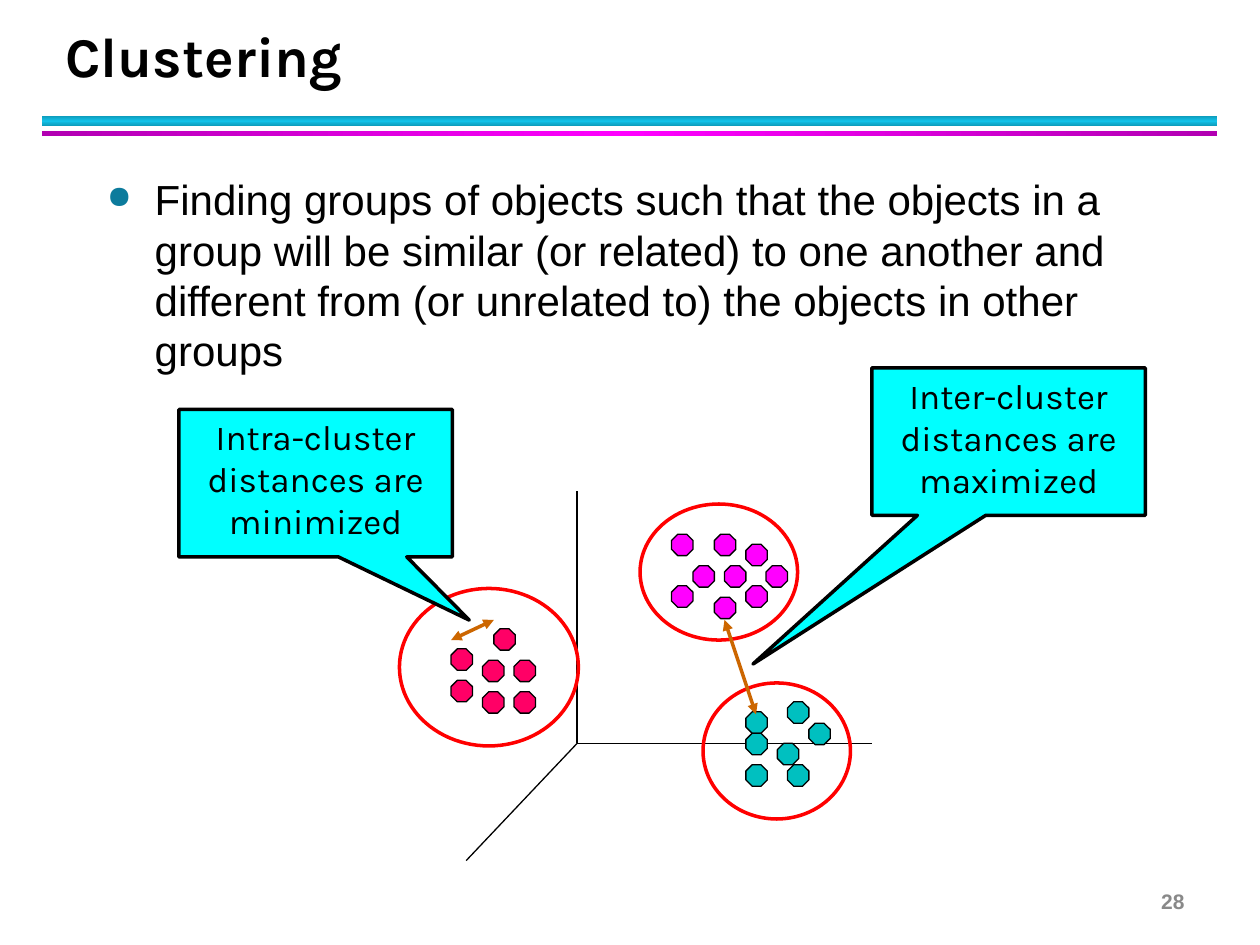
from copy import deepcopy
from typing import NamedTuple

from pptx import Presentation
from pptx.dml.color import RGBColor
from pptx.enum.shapes import MSO_CONNECTOR, MSO_SHAPE
from pptx.enum.text import MSO_ANCHOR, PP_ALIGN
from pptx.oxml.ns import qn
from pptx.oxml.xmlchemy import OxmlElement
from pptx.util import Inches, Pt

BLACK = RGBColor(0x00, 0x00, 0x00)
GREY = RGBColor(0x89, 0x89, 0x89)
RED = RGBColor(0xFF, 0x00, 0x00)
ORANGE = RGBColor(0xCC, 0x66, 0x00)
CYAN = RGBColor(0x00, 0xFF, 0xFF)
MAGENTA = RGBColor(0xFF, 0x00, 0xFF)
PINK = RGBColor(0xFF, 0x00, 0x66)
TEAL = RGBColor(0x00, 0xC0, 0xC0)
DARK_MAGENTA = RGBColor(0xB2, 0x00, 0xB2)
BAR_BLUE = RGBColor(0x12, 0xC2, 0xE9)
DARK_BAR_BLUE = RGBColor(0x0E, 0x9B, 0xBA)
BULLET_BLUE = "0C7B9C"
POINT_SIZE = 0.17


class Box(NamedTuple):
    left: float
    top: float
    width: float
    height: float


class Cluster(NamedTuple):
    color: RGBColor
    outline: Box
    points: list[tuple[float, float]]


class Callout(NamedTuple):
    text: str
    box: Box
    tip: tuple[float, float]


class Rule(NamedTuple):
    box: Box
    edge: RGBColor
    middle: RGBColor
    angle: int


RULES = [
    Rule(Box(0.33, 0.92, 9.33, 0.08), DARK_BAR_BLUE, BAR_BLUE, 90),
    Rule(Box(0.33, 1.04, 9.33, 0.04), DARK_MAGENTA, MAGENTA, 0),
]
CLUSTERS = [
    Cluster(PINK, Box(3.17, 4.67, 1.42, 1.25),
            [(3.58, 5.15), (3.83, 5.24), (3.83, 5.49), (4.08, 5.24),
             (3.92, 4.99), (4.08, 5.49), (3.58, 5.4)]),
    Cluster(MAGENTA, Box(5.08, 4, 1.25, 1.08),
            [(5.5, 4.49), (5.75, 4.49), (5.67, 4.24), (5.67, 4.74), (6.08, 4.49),
             (5.92, 4.32), (5.33, 4.24), (5.92, 4.65), (5.33, 4.65)]),
    Cluster(TEAL, Box(5.58, 5.42, 1.17, 1.08),
            [(5.92, 5.65), (6.42, 5.74), (6.17, 5.9), (5.92, 6.07),
             (6.25, 6.07), (5.92, 5.82), (6.25, 5.57)]),
]
ORIGIN = (4.58, 5.9)
AXIS_ENDS = [(4.58, 3.9), (6.92, 5.9), (3.7, 6.83)]
DISTANCES = [((6, 5.67), (5.75, 4.92)), ((3.58, 5.08), (3.92, 4.92))]
CALLOUTS = [
    Callout("Inter-cluster distances are maximized",
            Box(6.92, 2.92, 2.17, 1.17), (-0.935, 1.509)),
    Callout("Intra-cluster distances are minimized",
            Box(1.42, 3.25, 2.17, 1.17), (0.562, 0.929)),
]


def add_figure(slide, kind, box: Box, fill=None, line=None, line_width=0.75):
    figure = slide.shapes.add_shape(kind, *map(Inches, box))
    figure.shadow.inherit = False
    if fill is None:
        figure.fill.background()
    else:
        figure.fill.solid()
        figure.fill.fore_color.rgb = fill
    if line is None:
        figure.line.fill.background()
    else:
        figure.line.color.rgb = line
        figure.line.width = Pt(line_width)
    return figure


def add_rule(slide, rule: Rule) -> None:
    """Draw a bar whose gradient runs from edge to middle and back."""
    bar = add_figure(slide, MSO_SHAPE.RECTANGLE, rule.box)
    bar.fill.gradient()
    bar.fill.gradient_angle = rule.angle
    first = bar.element.spPr.find(".//" + qn("a:gs"))
    center = deepcopy(first)
    first.addnext(center)
    colors = (rule.edge, rule.middle, rule.edge)
    for stop, position, color in zip(bar.fill.gradient_stops, (0, 0.5, 1), colors):
        stop.position = position
        stop.color.rgb = color


def add_line(slide, start, end, color: RGBColor, width: float, arrows=False) -> None:
    line = slide.shapes.add_connector(
        MSO_CONNECTOR.STRAIGHT, *map(Inches, (*start, *end)))
    line.line.color.rgb = color
    line.line.width = Pt(width)
    if arrows:
        for tag in ("a:headEnd", "a:tailEnd"):
            arrowhead = OxmlElement(tag)
            arrowhead.set("type", "triangle")
            line.line._get_or_add_ln().append(arrowhead)
    line._element.spPr.append(OxmlElement("a:effectLst"))


def write(frame, text: str, font: str, size: float, color=BLACK, bold=False,
          align=PP_ALIGN.LEFT, anchor=MSO_ANCHOR.TOP):
    frame.word_wrap = True
    frame.vertical_anchor = anchor
    paragraph = frame.paragraphs[0]
    paragraph.alignment = align
    run = paragraph.add_run()
    run.text = text
    run.font.name = font
    run.font.size = Pt(size)
    run.font.bold = bold
    run.font.color.rgb = color
    return paragraph


def add_text(slide, box: Box, text: str, font: str, size: float, **style):
    frame = slide.shapes.add_textbox(*map(Inches, box)).text_frame
    return write(frame, text, font, size, **style)


def add_bullet(paragraph) -> None:
    properties = paragraph._p.get_or_add_pPr()
    properties.set("marL", str(Inches(0.38)))
    properties.set("indent", str(-Inches(0.38)))
    color = OxmlElement("a:buClr")
    rgb = OxmlElement("a:srgbClr")
    rgb.set("val", BULLET_BLUE)
    color.append(rgb)
    size = OxmlElement("a:buSzPct")
    size.set("val", "75000")
    mark = OxmlElement("a:buChar")
    mark.set("char", "●")
    properties.extend([color, size, mark])


def add_callout(slide, callout: Callout) -> None:
    figure = add_figure(slide, MSO_SHAPE.RECTANGULAR_CALLOUT, callout.box,
                        CYAN, BLACK, 2)
    figure.adjustments[0], figure.adjustments[1] = callout.tip
    write(figure.text_frame, callout.text, "Karla", 20, align=PP_ALIGN.CENTER)


def main() -> None:
    deck = Presentation()
    deck.slide_width, deck.slide_height = Inches(10), Inches(7.5)
    slide = deck.slides.add_slide(deck.slide_layouts[6])

    for rule in RULES:
        add_rule(slide, rule)
    definition = add_text(
        slide, Box(0.75, 1.33, 8.5, 2.42),
        "Finding groups of objects such that the objects in a group will be "
        "similar (or related) to one another and different from (or unrelated "
        "to) the objects in other groups", "Arial", 24)
    add_bullet(definition)

    for end in AXIS_ENDS:
        add_line(slide, ORIGIN, end, BLACK, 0.75)
    for cluster in CLUSTERS:
        for left, top in cluster.points:
            add_figure(slide, MSO_SHAPE.OCTAGON,
                       Box(left, top, POINT_SIZE, POINT_SIZE), cluster.color, BLACK)
    for cluster in CLUSTERS:
        add_figure(slide, MSO_SHAPE.OVAL, cluster.outline, line=RED, line_width=2)
    for start, end in DISTANCES:
        add_line(slide, start, end, ORANGE, 2, arrows=True)
    for callout in CALLOUTS:
        add_callout(slide, callout)

    title = add_text(slide, Box(0.42, 0.17, 9.06, 0.58), "Clustering", "Karla", 32,
                     bold=True, anchor=MSO_ANCHOR.BOTTOM)
    title.line_spacing = Pt(36)
    add_text(slide, Box(7.17, 6.95, 2.33, 0.4), "28", "Arial", 12, color=GREY,
             bold=True, align=PP_ALIGN.RIGHT, anchor=MSO_ANCHOR.MIDDLE)
    deck.save("out.pptx")


if __name__ == "__main__":
    main()
